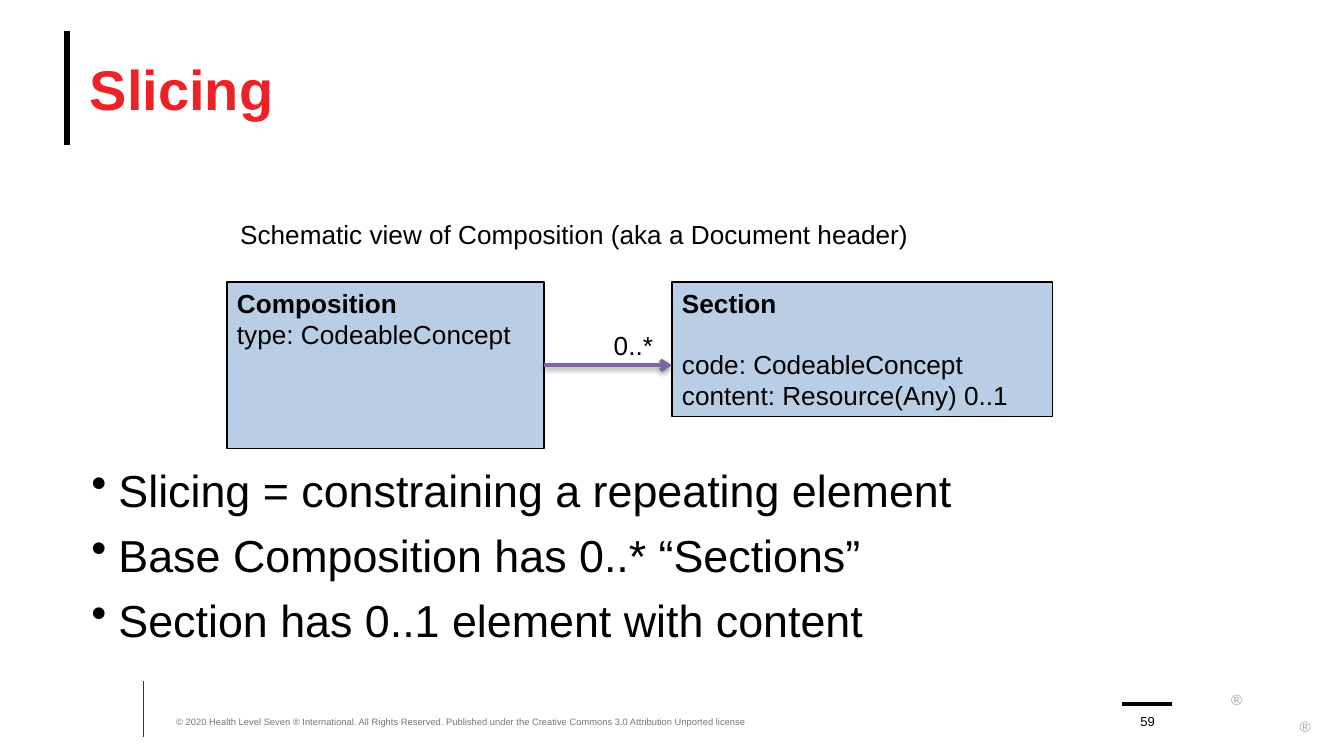
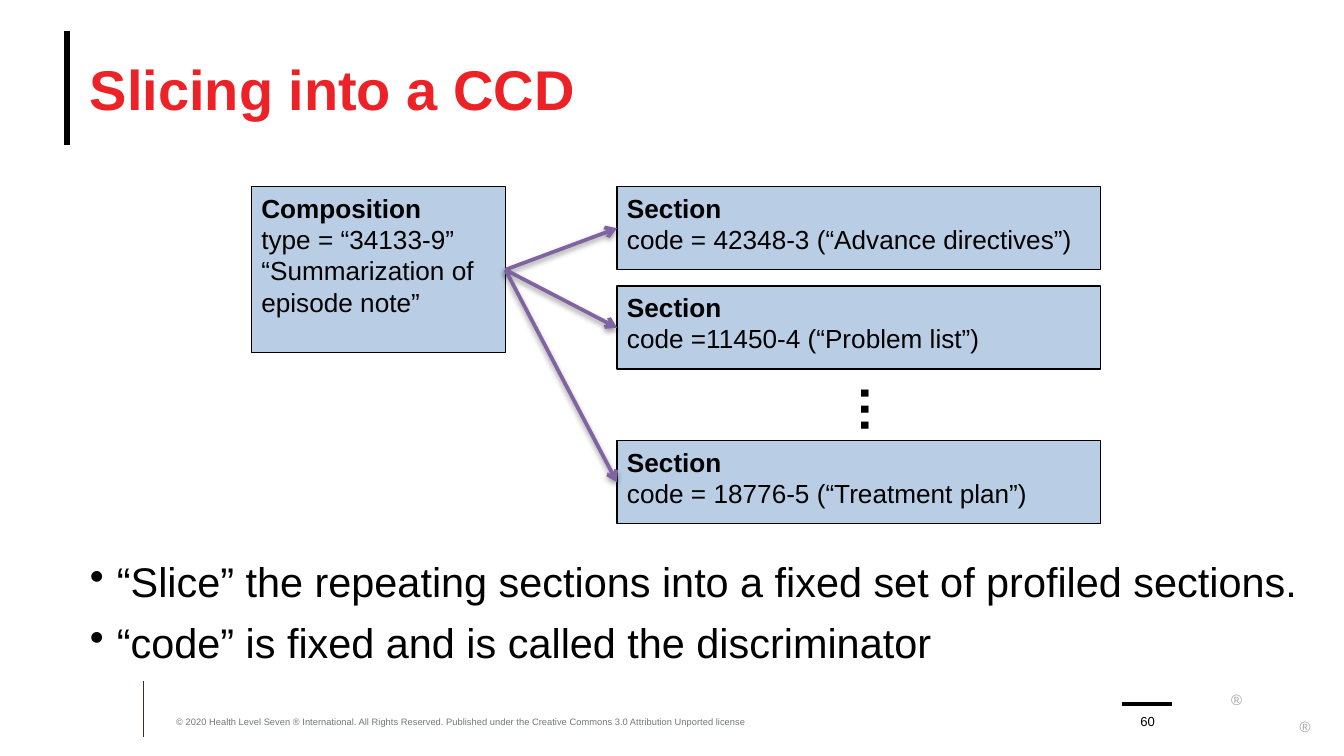
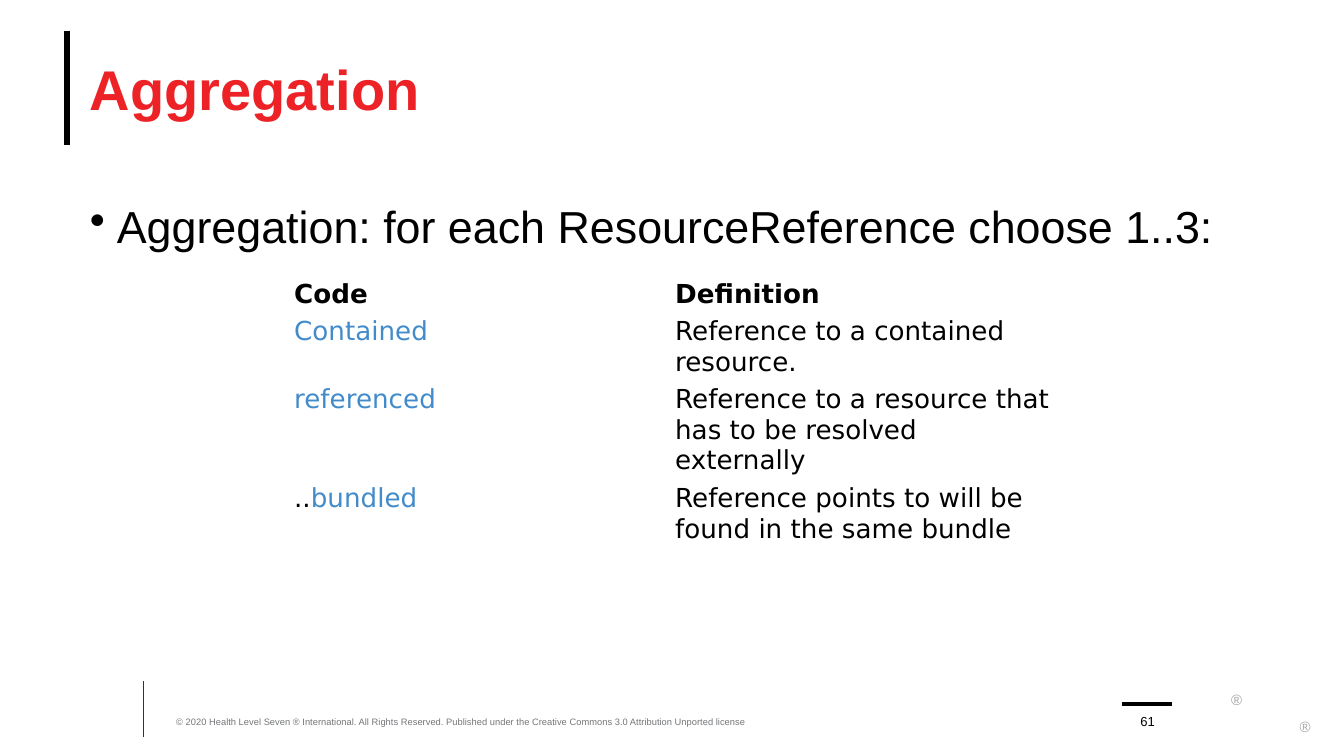
from lxml.etree import SubElement as Sub
from pptx import Presentation
from pptx.dml.color import RGBColor
from pptx.enum.shapes import MSO_CONNECTOR as Conn, MSO_SHAPE as Shape
from pptx.enum.text import MSO_ANCHOR as Anchor, MSO_AUTO_SIZE as Auto, PP_ALIGN as Align
from pptx.oxml.ns import qn
from pptx.util import Cm, Pt

FONT = "Arial"
BLACK, WHITE, RED, GREY = "000000", "FFFFFF", "EC2227", "747679"
PALE, BLUE, PURPLE, BROWN, MARK = "B9CDE5", "428BCA", "8064A2", "3D3029", "A6A6A6"
NOTICE = ("© 2020 Health Level Seven ® International. All Rights Reserved. "
          "Published under the Creative Commons 3.0 Attribution Unported license")


def color(code):
    return RGBColor.from_string(code)


def style(font, size, code=BLACK, bold=False, name=FONT):
    font.name, font.size, font.bold = name, Pt(size), bold
    font.color.rgb = color(code)


def frame(shape, pad=(0, 0), anchor=Anchor.TOP, wrap=True):
    tf = shape.text_frame
    tf.word_wrap = wrap
    tf.auto_size = Auto.NONE if wrap else Auto.SHAPE_TO_FIT_TEXT
    tf.vertical_anchor = anchor
    tf.margin_left = tf.margin_right = Cm(pad[0])
    tf.margin_top = tf.margin_bottom = Cm(pad[1])
    return tf


def label(slide, box, text, size, code=BLACK, bold=False, align=Align.LEFT, **opts):
    tf = frame(slide.shapes.add_textbox(*map(Cm, box)), **opts)
    para = tf.paragraphs[0]
    para.text, para.alignment = text, align
    style(para.font, size, code, bold)
    return tf


def line(slide, start, end, code, width):
    link = slide.shapes.add_connector(Conn.STRAIGHT, *map(Cm, (*start, *end)))
    link.line.color.rgb = color(code)
    link.line.width = Pt(width)
    return link, Sub(link._element.spPr, qn("a:effectLst"))


def arrow(slide, start, end):
    link, effects = line(slide, start, end, PURPLE, 2)
    Sub(link.line._get_or_add_ln(), qn("a:tailEnd"), type="arrow")
    shade = Sub(effects, qn("a:outerShdw"), blurRad=str(Pt(3.1)), dist=str(Pt(1.6)),
                dir="5400000", rotWithShape="0")
    tint = Sub(shade, qn("a:srgbClr"), val=BLACK)
    Sub(tint, qn("a:alpha"), val="38000")


def node(slide, box, name, rows, gap=0):
    shape = slide.shapes.add_shape(Shape.RECTANGLE, *map(Cm, box))
    shape.shadow.inherit = False
    shape.fill.solid()
    shape.fill.fore_color.rgb = color(PALE)
    shape.line.color.rgb = color(BLACK)
    shape.line.width = Pt(0.75)
    tf = frame(shape, (0.19, 0.1))
    for i, text in enumerate([name, *rows]):
        para = tf.paragraphs[0] if i == 0 else tf.add_paragraph()
        para.text, para.alignment = text, Align.LEFT
        if i == 1:
            para.space_before = Pt(gap)
        style(para.font, 14, bold=i == 0)


def bullets(slide, box, rows, size=24):
    tf = frame(slide.shapes.add_textbox(*map(Cm, box)))
    for i, text in enumerate(rows):
        para = tf.paragraphs[0] if i == 0 else tf.add_paragraph()
        para.text = text
        if i:
            para.space_before = Pt(6)
        props = para._p.get_or_add_pPr()
        props.set("marL", str(Cm(0.51)))
        props.set("indent", str(Cm(-0.51)))
        Sub(props, qn("a:buChar"), char="•")
        style(para.font, size)


def footer(slide, box, number):
    x, y, w, h = box
    line(slide, (x, y), (x, y + h), BROWN, 0.5)
    label(slide, (x + 0.61, y + 0.43, 12.57, 0.43), NOTICE, 5, GREY, anchor=Anchor.BOTTOM)
    line(slide, (x + 18.49, y + 0.43), (x + 19.43, y + 0.43), BLACK, 2)
    label(slide, (x + 18.59, y + 0.43, 0.76, 0.48), str(number), 7,
          align=Align.CENTER, anchor=Anchor.BOTTOM)
    for dx, dy in ((20.55, 0.17), (21.84, 0.68)):
        label(slide, (x + dx, y + dy, 0.28, 0.32), "®", 8, MARK, wrap=False)


def page(prs, title, number):
    slide = prs.slides.add_slide(prs.slide_layouts[5])
    line(slide, (1.27, 0.58), (1.27, 2.74), BLACK, 3.25)
    head = slide.shapes.title
    head.left, head.top, head.width, head.height = map(Cm, (1.7, 0.58, 22.86, 2.18))
    para = frame(head, anchor=Anchor.MIDDLE).paragraphs[0]
    para.text, para.alignment = title, Align.LEFT
    style(para.font, 30, RED, True)
    footer(slide, (2.72, 12.88, 22.68, 1.06), number)
    return slide


def schema(slide, box):
    x, y, w, h = box
    label(slide, (x, y, 14.4, 0.86), "Schematic view of Composition (aka a Document header)",
          14, pad=(0.25, 0.13))
    top, left, right = y + 1.34, 5.99, 7.19
    node(slide, (x, top, left, h - 1.34), "Composition", ["type: CodeableConcept"])
    node(slide, (x + w - right, top, right, 2.54), "Section",
         ["code: CodeableConcept", "content: Resource(Any) 0..1"], gap=16)
    mid = top + (h - 1.34) / 2
    arrow(slide, (x + left, mid), (x + w - right, mid))
    label(slide, (x + 7.06, mid - 0.81, 1.27, 0.86), "0..*", 14, pad=(0.25, 0.13), wrap=False)


def slices(slide, box, rows):
    x, y, w, h = box
    left, right, high = 4.8, 9.14, 1.57
    node(slide, (x, y, left, 2 * high), "Composition",
         ["type = “34133-9” “Summarization of", "episode note”"])
    side = x + w - right
    for top, text in zip((y, y + 1.88, y + h - high), rows):
        node(slide, (side, top, right, high), "Section", [text])
        arrow(slide, (x + left, y + high), (side, top + high / 2))
    dots = label(slide, (side + 4.14, y + 3.61, 1.68, 1.22), "…", 27, bold=True,
                 pad=(0.25, 0.13), wrap=False)
    dots._txBody.bodyPr.set("vert", "eaVert")


def codes(slide, box, rows):
    grid = slide.shapes.add_table(len(rows), 2, *map(Cm, box)).table
    grid.first_row = grid.horz_banding = False
    for i, row in enumerate(rows):
        grid.rows[i].height = Cm(1.27 if i else 0.69)
        for j, parts in enumerate(row):
            cell = grid.cell(i, j)
            cell.fill.solid()
            cell.fill.fore_color.rgb = color(WHITE)
            cell.margin_left = cell.margin_right = Cm(0.05)
            cell.margin_top = cell.margin_bottom = Cm(0.05)
            para = cell.text_frame.paragraphs[0]
            for text, code in parts:
                run = para.add_run()
                run.text = text
                style(run.font, 14, code, i == 0, "DejaVu Sans")


def main():
    prs = Presentation()
    prs.slide_width, prs.slide_height = Cm(25.4), Cm(14.29)

    slide = page(prs, "Slicing", 59)
    schema(slide, (4.29, 3.99, 15.6, 4.49))
    bullets(slide, (1.73, 8.74, 22.86, 2.18),
            ["Slicing = constraining a repeating element",
             "Base Composition has 0..* “Sections”",
             "Section has 0..1 element with content"])

    slide = page(prs, "Slicing into a CCD", 60)
    slices(slide, (4.75, 3.53, 16.05, 6.37),
           ["code = 42348-3 (“Advance directives”)",
            "code =11450-4 (“Problem list”)",
            "code = 18776-5 (“Treatment plan”)"])
    bullets(slide, (1.7, 10.52, 22.86, 1.85),
            ["“Slice” the repeating sections into a fixed set of profiled sections.",
             "“code” is fixed and is called the discriminator"], 22.2)

    slide = page(prs, "Aggregation", 61)
    bullets(slide, (1.7, 3.76, 22.86, 8.61),
            ["Aggregation: for each ResourceReference choose 1..3:"])
    codes(slide, (5.51, 5.23, 14.4, 4.5), [
        ([("Code", BLACK)], [("Definition", BLACK)]),
        ([("Contained", BLUE)], [("Reference to a contained resource.", BLACK)]),
        ([("referenced", BLUE)],
         [("Reference to a resource that has to be resolved externally", BLACK)]),
        ([("..", BLACK), ("bundled", BLUE)],
         [("Reference points to will be found in the same bundle", BLACK)]),
    ])
    prs.save("out.pptx")


if __name__ == "__main__":
    main()
